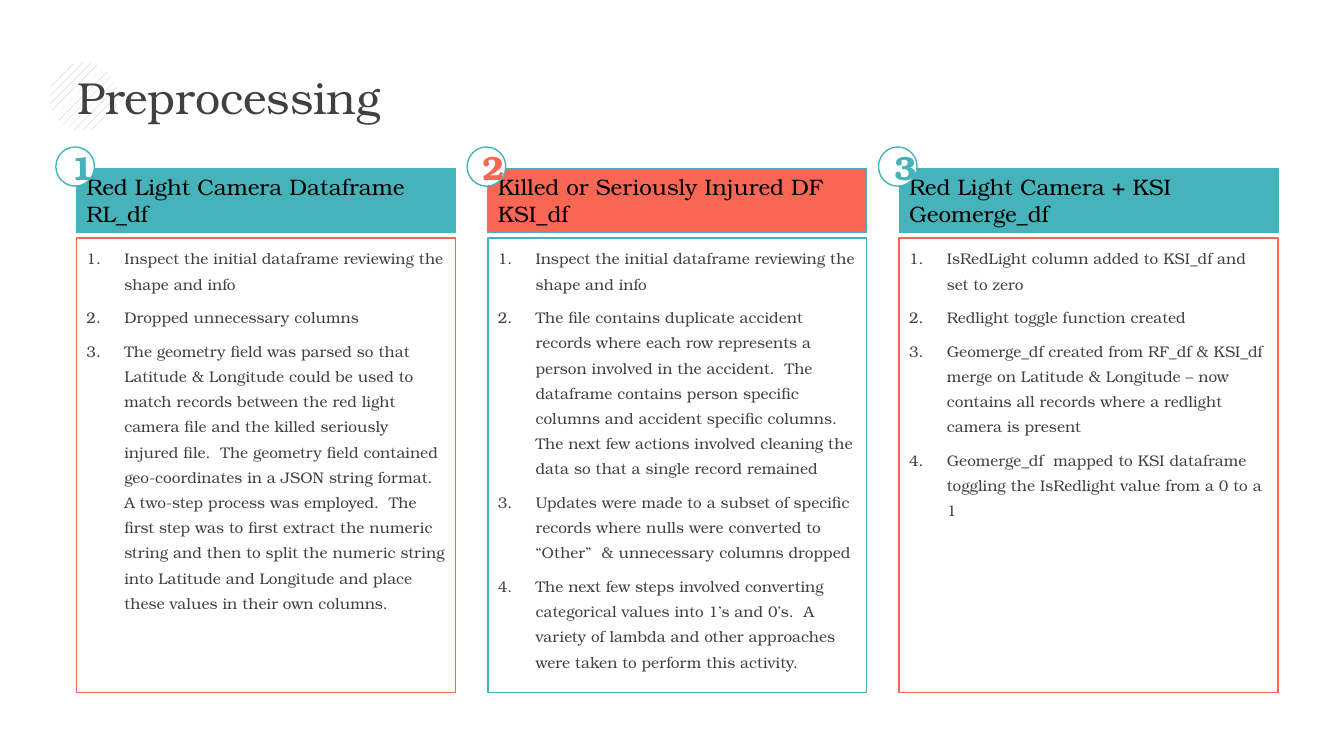
from dataclasses import dataclass

from lxml.etree import SubElement
from pptx import Presentation
from pptx.dml.color import RGBColor
from pptx.enum.dml import MSO_PATTERN
from pptx.enum.shapes import MSO_SHAPE
from pptx.enum.text import MSO_ANCHOR, PP_ALIGN
from pptx.oxml.ns import qn
from pptx.util import Pt


@dataclass(frozen=True)
class Theme:
    font: str = "TeX Gyre Bonum"
    teal: RGBColor = RGBColor.from_string("46B3BA")
    coral: RGBColor = RGBColor.from_string("F96654")
    ink: RGBColor = RGBColor.from_string("404040")
    black: RGBColor = RGBColor.from_string("000000")
    white: RGBColor = RGBColor.from_string("FFFFFF")
    hatch: RGBColor = RGBColor.from_string("BFBFBF")
    title_size: int = 32
    badge_size: int = 24
    heading_size: int = 16
    step_size: int = 11


@dataclass(frozen=True)
class Box:
    left: float
    top: float
    width: float
    height: float

    def lengths(self):
        return [Pt(value) for value in (self.left, self.top, self.width, self.height)]


@dataclass(frozen=True)
class Stage:
    accent: RGBColor
    frame: RGBColor
    heading: tuple
    steps: tuple


THEME = Theme()

STAGES = (
    Stage(
        THEME.teal, THEME.coral,
        ("Red Light Camera Dataframe", "RL_df"),
        (
            "Inspect the initial dataframe reviewing the shape and info",
            "Dropped unnecessary columns",
            "The geometry field was parsed so that Latitude & Longitude could be used to "
            "match records between the red light camera file and the killed seriously "
            "injured file.  The geometry field contained geo-coordinates in a JSON string "
            "format.  A two-step process was employed.  The first step was to first extract "
            "the numeric string and then to split the numeric string into Latitude and "
            "Longitude and place these values in their own columns.",
        ),
    ),
    Stage(
        THEME.coral, THEME.teal,
        ("Killed or Seriously Injured DF", "KSI_df"),
        (
            "Inspect the initial dataframe reviewing the shape and info",
            "The file contains duplicate accident records where each row represents a "
            "person involved in the accident.  The dataframe contains person specific "
            "columns and accident specific columns. The next few actions involved cleaning "
            "the data so that a single record remained",
            "Updates were made to a subset of specific records where nulls were converted "
            "to “Other”  & unnecessary columns dropped",
            "The next few steps involved converting categorical values into 1’s and 0’s.  "
            "A variety of lambda and other approaches were taken to perform this activity.",
        ),
    ),
    Stage(
        THEME.teal, THEME.coral,
        ("Red Light Camera + KSI", "Geomerge_df"),
        (
            "IsRedLight column added to KSI_df and set to zero",
            "Redlight toggle function created",
            "Geomerge_df created from RF_df & KSI_df merge on Latitude & Longitude – now "
            "contains all records where a redlight camera is present",
            "Geomerge_df  mapped to KSI dataframe toggling the IsRedlight value from a 0 to a 1",
        ),
    ),
)


def add_panel(page, kind, box, fill, line, line_width):
    panel = page.shapes.add_shape(kind, *box.lengths())
    panel.shadow.inherit = False
    panel.fill.solid()
    panel.fill.fore_color.rgb = fill
    panel.line.color.rgb = line
    panel.line.width = Pt(line_width)
    return panel


def write(shape, texts, size, color, align=PP_ALIGN.LEFT, anchor=MSO_ANCHOR.TOP, bold=False):
    """Fill the shape with one paragraph per text and return the paragraphs."""
    frame = shape.text_frame
    frame.word_wrap = True
    frame.vertical_anchor = anchor
    for index, text in enumerate(texts):
        para = frame.add_paragraph() if index else frame.paragraphs[0]
        para.alignment = align
        span = para.add_run()
        span.text = text
        span.font.name = THEME.font
        span.font.size = Pt(size)
        span.font.bold = bold
        span.font.color.rgb = color
    return frame.paragraphs


def number_steps(paras):
    for para in paras:
        para.line_spacing = Pt(18)
        para.space_after = Pt(6)
        properties = para._p.get_or_add_pPr()
        properties.set("marL", str(Pt(27)))
        properties.set("indent", str(Pt(-27)))
        SubElement(properties, qn("a:buAutoNum"), type="arabicPeriod")


def add_title(page, box):
    disc_box = Box(box.left - 13, box.top - 6.5, 49, 49)
    disc = page.shapes.add_shape(MSO_SHAPE.OVAL, *disc_box.lengths())
    disc.shadow.inherit = False
    disc.fill.patterned()
    disc.fill.pattern = MSO_PATTERN.PERCENT_20
    disc.fill.fore_color.rgb = THEME.hatch
    disc.fill.back_color.rgb = THEME.white
    disc.line.fill.background()
    title = page.shapes.add_textbox(*box.lengths())
    write(title, ["Preprocessing"], THEME.title_size, THEME.ink, anchor=MSO_ANCHOR.MIDDLE)


def add_stage(page, box, number, stage):
    """Draw a numbered column: heading bar, framed steps and corner badge."""
    heading_height, gap = 46, 3.7
    heading_box = Box(box.left, box.top, box.width, heading_height)
    heading = add_panel(page, MSO_SHAPE.RECTANGLE, heading_box,
                        stage.accent, THEME.teal, 0.75)
    write(heading, stage.heading, THEME.heading_size, THEME.black)

    offset = heading_height + gap
    steps_box = Box(box.left, box.top + offset, box.width, box.height - offset)
    steps = add_panel(page, MSO_SHAPE.RECTANGLE, steps_box, THEME.white, stage.frame, 1)
    number_steps(write(steps, stage.steps, THEME.step_size, THEME.ink))

    badge_box = Box(box.left - 14.8, box.top - 15.2, 27.6, 28)
    badge = add_panel(page, MSO_SHAPE.OVAL, badge_box, THEME.white, THEME.teal, 1)
    write(badge, [str(number)], THEME.badge_size, stage.accent,
          PP_ALIGN.CENTER, MSO_ANCHOR.MIDDLE, bold=True)


def main():
    deck = Presentation()
    deck.slide_width, deck.slide_height = Pt(960), Pt(540)
    page = deck.slides.add_slide(deck.slide_layouts[6])
    add_title(page, Box(48.2, 51.1, 863.3, 35.3))
    column_pitch = 293.8
    for index, stage in enumerate(STAGES):
        column = Box(54.7 + index * column_pitch, 120.2, 270.7, 374.4)
        add_stage(page, column, index + 1, stage)
    deck.save("out.pptx")


if __name__ == "__main__":
    main()
